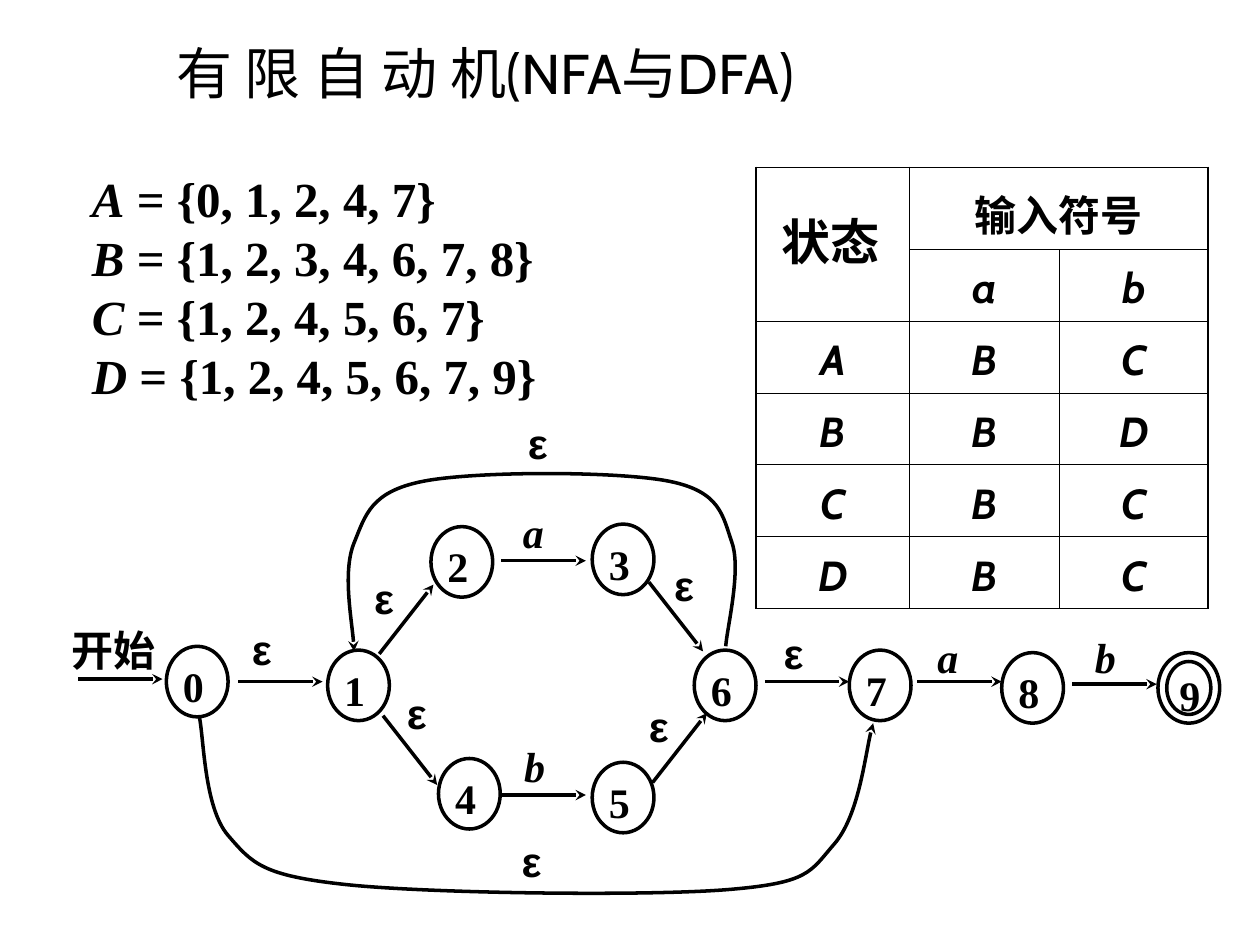
from collections import namedtuple
from lxml import etree
from pptx import Presentation
from pptx.dml.color import RGBColor as Rgb
from pptx.enum.shapes import MSO_CONNECTOR as Link, MSO_SHAPE as Kind
from pptx.enum.text import MSO_ANCHOR as Anchor, PP_ALIGN as Align
from pptx.oxml.ns import qn
from pptx.util import Inches, Pt

COLORS = {"ink": "000000"}
SERIF, SANS, GREEK = "Times New Roman", "Cabin", "Arial"

# States of the NFA: name and top left corner of the ring
RING = (0.49, 0.56)
STATES = {
    "0": (1.32, 5.13), "1": (2.6, 5.16), "2": (3.42, 4.18), "3": (4.7, 4.16),
    "4": (3.48, 6.02), "5": (4.7, 6.05), "6": (5.51, 5.16), "7": (6.74, 5.16),
    "8": (7.95, 5.18), "9": (9.19, 5.18),
}
FINAL = "9"
GAP = 0.07  # between the two rings of the final state

# Straight moves: where the arrow starts, its way, the label and its corner
RIGHT, UP, DOWN = (0.67, 0), (0.43, -0.55), (0.43, 0.55)
Move = namedtuple("Move", "start way label spot")
MOVES = {
    "start-0": Move((0.62, 5.39), RIGHT, "开始", (0.51, 4.93)),
    "0-1": Move((1.89, 5.41), RIGHT, "ε", (1.94, 4.92)),
    "1-2": Move((3.01, 5.19), UP, "ε", (2.91, 4.51)),
    "1-4": Move((3.04, 5.68), DOWN, "ε", (3.17, 5.43)),
    "2-3": Move((3.98, 4.45), RIGHT, "a", (4.09, 3.99)),
    "4-5": Move((3.98, 6.31), RIGHT, "b", (4.1, 5.85)),
    "3-6": Move((5.15, 4.62), DOWN, "ε", (5.29, 4.41)),
    "5-6": Move((5.18, 6.21), UP, "ε", (5.09, 5.53)),
    "6-7": Move((6.07, 5.41), RIGHT, "ε", (6.16, 4.95)),
    "7-8": Move((7.28, 5.41), RIGHT, "a", (7.38, 4.98)),
    "8-9": Move((8.51, 5.43), RIGHT, "b", (8.63, 4.98)),
}

# Curved moves: the points passed through, the label and its corner
Bend = namedtuple("Bend", "knots label spot")
BENDS = {
    "0-7": Bend([(1.58, 5.68), (1.81, 6.63), (2.74, 7.02),
                 (5.78, 7.06), (6.62, 6.7), (6.93, 5.74)], "ε", (4.08, 6.6)),
    "6-1": Bend([(5.76, 5.13), (5.81, 4.31), (5.31, 3.82),
                 (3.36, 3.82), (2.81, 4.31), (2.81, 5.17)], "ε", (4.13, 3.28)),
}

# DFA: each state as a set of NFA states, and where inputs a and b lead
SETS = {"A": "01247", "B": "1234678", "C": "124567", "D": "1245679"}
HEADS = [("", "输入符号", ""), ("", "a", "b")]
ROWS = HEADS + list(zip(SETS, "BBBB", "CDCC"))
COLS = [1.22, 1.19, 1.18]
HEIGHTS = [0.65] + [0.57] * (len(ROWS) - 1)


def style(run, size=24, face=SERIF, bold=True, italic=False):
    font = run.font
    font.size, font.name = Pt(size), face
    font.bold, font.italic = bold, italic
    font.color.rgb = Rgb.from_string(COLORS["ink"])


def pad(frame, left, top, right, bottom):
    frame.margin_left, frame.margin_top = Inches(left), Inches(top)
    frame.margin_right, frame.margin_bottom = Inches(right), Inches(bottom)


def add_text(slide, text, box, wrap=True, anchor=Anchor.TOP, align=Align.LEFT, **look):
    frame = slide.shapes.add_textbox(*map(Inches, box)).text_frame
    frame.word_wrap, frame.vertical_anchor = wrap, anchor
    pad(frame, 0.06, 0.03, 0.06, 0.03)
    frame.text = text
    for para in frame.paragraphs:
        para.alignment = align
        for run in para.runs:
            style(run, **look)
    return frame


def add_label(slide, text, spot):
    box = (*spot, 0.79 if len(text) > 1 else 0.43, 0.45)
    face = GREEK if text == "ε" else SERIF
    add_text(slide, text, box, face=face, italic=text in ("a", "b"))


def ink(shape):
    shape.line.color.rgb = Rgb.from_string(COLORS["ink"])
    shape.line.width = Pt(2)


def add_head(shape):
    """Ink a line and end it with a stealth arrowhead."""
    ink(shape)
    line = next(shape._element.iter(qn("a:ln")))
    etree.SubElement(line, qn("a:tailEnd"), type="stealth")


def add_ring(slide, box, text="", pads=(0.06, 0.03, 0.02, 0.05)):
    ring = slide.shapes.add_shape(Kind.OVAL, *map(Inches, box))
    ring.shadow.inherit = False
    ring.fill.background()
    ink(ring)
    frame = ring.text_frame
    frame.vertical_anchor = Anchor.TOP
    pad(frame, *pads)
    frame.text = text
    para = frame.paragraphs[0]
    para.alignment = Align.LEFT
    for run in para.runs:
        style(run)


def add_state(slide, name, x, y):
    wide, high = RING
    if name != FINAL:
        add_ring(slide, (x, y, wide, high), name)
        return
    add_ring(slide, (x, y, wide, high))
    inner = (x + GAP, y + GAP, wide - 2 * GAP, high - 2 * GAP)
    add_ring(slide, inner, name, (0.05, 0, 0.01, 0))


def add_arrow(slide, start, way):
    (x, y), (dx, dy) = start, way
    ends = map(Inches, (x, y, x + dx, y + dy))
    arrow = slide.shapes.add_connector(Link.STRAIGHT, *ends)
    add_head(arrow)
    etree.SubElement(arrow._element.spPr, qn("a:effectLst"))


def lean(point, before, after, sign):
    """Shift a knot by a sixth of the way between its neighbours."""
    return tuple(p + sign * (b - a) / 6 for p, a, b in zip(point, before, after))


def add_curve(slide, knots):
    """Draw an arrow that runs smoothly through the knots."""
    ring = [knots[0], *knots, knots[-1]]
    points = []
    for before, here, there, after in zip(ring, ring[1:], ring[2:], ring[3:]):
        points += [lean(here, before, there, 1), lean(there, here, after, -1), there]
    build = slide.shapes.build_freeform(*map(Inches, knots[0]))
    build.add_line_segments([tuple(map(Inches, point)) for point in points], close=False)
    curve = build.convert_to_shape()
    curve.shadow.inherit = False
    curve.fill.background()
    add_head(curve)
    steps = list(curve._element.iter(qn("a:lnTo")))
    for trio in zip(steps[::3], steps[1::3], steps[2::3]):
        cubic = etree.Element(qn("a:cubicBezTo"))
        trio[0].addprevious(cubic)
        for step in trio:
            cubic.append(step[0])
            step.getparent().remove(step)


def add_edges(cell, row, col):
    """Border a cell, thicker along the rim of the table."""
    rims = {
        "L": col == 0, "R": col + cell.span_width == len(COLS),
        "T": row == 0, "B": row + cell.span_height == len(ROWS),
    }
    props = cell._tc.get_or_add_tcPr()
    for i, (side, rim) in enumerate(rims.items()):
        edge = etree.Element(qn(f"a:ln{side}"), w=str(Pt(1.08 if rim else 0.45)))
        fill = etree.SubElement(edge, qn("a:solidFill"))
        etree.SubElement(fill, qn("a:srgbClr"), val=COLORS["ink"])
        props.insert(i, edge)


def add_table(slide):
    box = map(Inches, (6, 1.33, sum(COLS), sum(HEIGHTS)))
    table = slide.shapes.add_table(len(ROWS), len(COLS), *box).table
    table.first_row = table.horz_banding = False
    for col, width in zip(table.columns, COLS):
        col.width = Inches(width)
    for row, height in zip(table.rows, HEIGHTS):
        row.height = Inches(height)
    table.cell(0, 0).merge(table.cell(1, 0))
    table.cell(0, 1).merge(table.cell(0, 2))
    for r, texts in enumerate(ROWS):
        for c, text in enumerate(texts):
            cell = table.cell(r, c)
            cell.fill.background()
            if cell.is_spanned:
                continue
            add_edges(cell, r, c)
            pad(cell, 0.06, 0.05, 0.06, 0.05)
            cell.text = text
            para = cell.text_frame.paragraphs[0]
            para.alignment, para.line_spacing = Align.CENTER, 1.15
            for run in para.runs:
                style(run, face=SANS, italic=r > 0)
    add_text(slide, "状态", (6.13, 1.5, 0.92, 0.83), wrap=False,
             anchor=Anchor.MIDDLE, align=Align.CENTER, size=28)


def add_sets(slide):
    frame = add_text(slide, "\n".join(SETS), (0.67, 1.31, 4, 2.17),
                     wrap=False, size=28, italic=True)
    for para, items in zip(frame.paragraphs, SETS.values()):
        run = para.add_run()
        run.text = f" = {{{', '.join(items)}}}"
        style(run, size=28)


def add_graph(slide):
    for name, (x, y) in STATES.items():
        add_state(slide, name, x, y)
    for move in MOVES.values():
        add_arrow(slide, move.start, move.way)
        add_label(slide, move.label, move.spot)
    for bend in BENDS.values():
        add_curve(slide, bend.knots)
        add_label(slide, bend.label, bend.spot)


def add_title(slide):
    frame = add_text(slide, "有 限 自 动 机(NFA与DFA)", (1.3, 0.08, 6.62, 0.99),
                     anchor=Anchor.MIDDLE, size=32, face=SANS, bold=False)
    pad(frame, 0.1, 0.05, 0.1, 0.05)


def main():
    deck = Presentation()
    deck.slide_width, deck.slide_height = Inches(10), Inches(7.5)
    slide = deck.slides.add_slide(deck.slide_layouts[6])
    for add in (add_graph, add_table, add_sets, add_title):
        add(slide)
    deck.save("out.pptx")


if __name__ == "__main__":
    main()
